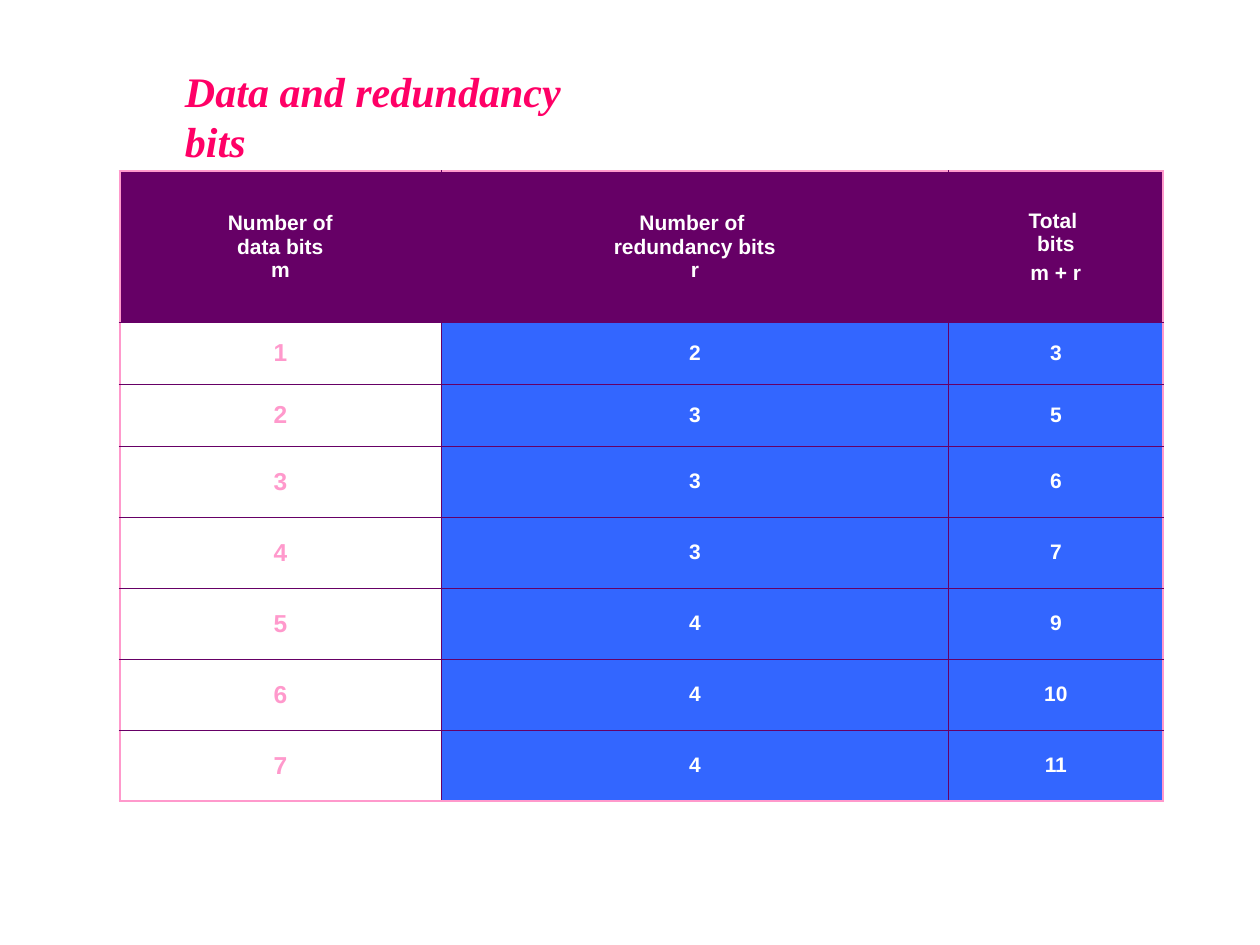
from copy import deepcopy

from lxml import etree
from pptx import Presentation
from pptx.dml.color import RGBColor
from pptx.enum.text import MSO_ANCHOR as Anchor, PP_ALIGN as Align
from pptx.oxml.ns import qn
from pptx.util import Inches, Pt

PURPLE, PINK, BLUE, WHITE = "660066", "FF99CC", "3366FF", "FFFFFF"
INNER_LINE = (PURPLE, 0.45)
OUTER_LINE = (PINK, 1.47)
COLUMN_WIDTHS = [2.55, 4.03, 1.7]
HEADER_HEIGHT, SHORT_HEIGHT, TABLE_HEIGHT = 1.2, 0.49, 5
HEADERS = [
    ["Number of\ndata bits\nm"],
    ["Number of \nredundancy bits\nr"],
    ["Total \nbits", "m + r"],
]
BIT_COUNTS = [(1, 2), (2, 3), (3, 3), (4, 3), (5, 4), (6, 4), (7, 4)]


def color(value):
    return RGBColor.from_string(value)


def add_run(paragraph, text, size, font_color, name="Arial", italic=False):
    run = paragraph.add_run()
    run.text = text
    font = run.font
    font.name, font.size = name, Pt(size)
    font.bold, font.italic = True, italic
    font.color.rgb = color(font_color)
    return run


def add_lines(paragraph, text, size, font_color):
    lines = text.split("\n")
    for index, line in enumerate(lines):
        run = add_run(paragraph, line, size, font_color)
        if index < len(lines) - 1:
            paragraph.add_line_break()
            paragraph._p[-1].append(deepcopy(run._r.rPr))


def add_title(slide, text):
    box = slide.shapes.add_textbox(Inches(1.37), Inches(0.47), Inches(3.74), Inches(0.5))
    box.text_frame.word_wrap = False
    add_run(box.text_frame.paragraphs[0], text, 24, "FF0066", "Times New Roman", True)


def set_borders(cell, borders):
    properties = cell._tc.get_or_add_tcPr()
    for index, (side, (line_color, width)) in enumerate(borders.items()):
        line = etree.Element(qn(f"a:ln{side}"), w=str(Pt(width)))
        fill = etree.SubElement(line, qn("a:solidFill"))
        etree.SubElement(fill, qn("a:srgbClr"), val=line_color)
        properties.insert(index, line)


def fill_cell(cell, texts, fill, font_color, size):
    cell.fill.solid()
    cell.fill.fore_color.rgb = color(fill)
    cell.vertical_anchor = Anchor.MIDDLE
    cell.margin_left = cell.margin_right = Inches(0.1)
    cell.margin_top = cell.margin_bottom = Inches(0.05)
    frame = cell.text_frame
    for index, text in enumerate(texts):
        paragraph = frame.add_paragraph() if index else frame.paragraphs[0]
        paragraph.alignment = Align.CENTER
        if index:
            paragraph.space_before = Pt(3)
        add_lines(paragraph, text, size, font_color)


def cell_style(row, column):
    if row == 0:
        return PURPLE, WHITE, 12
    if column == 0:
        return WHITE, PINK, 14
    return BLUE, WHITE, 12


def add_bits_table(slide):
    rows = HEADERS, *([[str(m)], [str(r)], [str(m + r)]] for m, r in BIT_COUNTS)
    last_row, last_column = len(rows) - 1, len(COLUMN_WIDTHS) - 1
    tall_height = (TABLE_HEIGHT - HEADER_HEIGHT - 2 * SHORT_HEIGHT) / 5
    heights = [HEADER_HEIGHT] + [SHORT_HEIGHT] * 2 + [tall_height] * 5
    table = slide.shapes.add_table(
        len(rows), len(COLUMN_WIDTHS), Inches(0.95), Inches(1.36),
        Inches(sum(COLUMN_WIDTHS)), Inches(TABLE_HEIGHT),
    ).table
    table.first_row = table.horz_banding = False
    for column, width in zip(table.columns, COLUMN_WIDTHS):
        column.width = Inches(width)
    for row, height in zip(table.rows, heights):
        row.height = Inches(height)
    for row, contents in enumerate(rows):
        for column, texts in enumerate(contents):
            cell = table.cell(row, column)
            fill_cell(cell, texts, *cell_style(row, column))
            edges = {"L": column == 0, "R": column == last_column,
                     "T": row == 0, "B": row == last_row}
            set_borders(cell, {side: OUTER_LINE if outer else INNER_LINE
                               for side, outer in edges.items()})


def main():
    presentation = Presentation()
    presentation.slide_width = Inches(10)
    presentation.slide_height = Inches(7.5)
    slide = presentation.slides.add_slide(presentation.slide_layouts[6])
    add_title(slide, "Data and redundancy bits")
    add_bits_table(slide)
    presentation.save("out.pptx")


if __name__ == "__main__":
    main()
